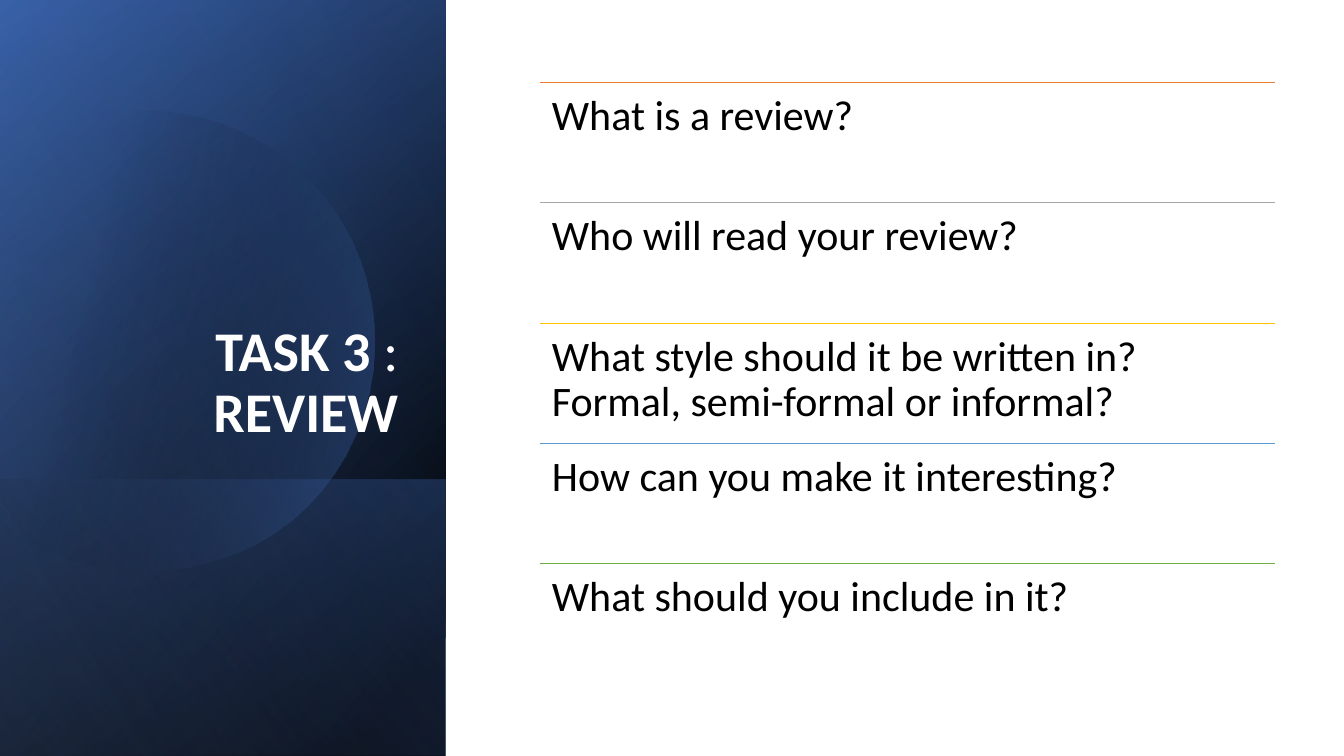
from dataclasses import dataclass

from lxml import etree
from pptx import Presentation
from pptx import util as u
from pptx.dml.color import RGBColor
from pptx.enum import shapes, text
from pptx.oxml import ns, parse_xml

COLOURS = {
    "black": "000000", "white": "FFFFFF", "navy": "2F5597", "blue": "4472C4",
    "pale_blue": "8FAADC", "orange": "ED7D31", "grey": "A5A5A5",
    "gold": "FFC000", "sky": "5B9BD5", "green": "70AD47",
}
FONT = "Calibri"
SLIDE_WIDTH, SLIDE_HEIGHT = 33.87, 19.05
PANEL_WIDTH = 11.23
ROW_LEFT, ROW_TOP, ROW_WIDTH, ROW_HEIGHT = 13.61, 2.08, 18.53, 3.03
ROW_INSET = 0.3


@dataclass
class Stop:
    position: int
    colour: str
    opacity: int = 100


@dataclass
class Gradient:
    angle: int
    stops: tuple[Stop, Stop]


@dataclass
class Panel:
    top: float
    gradient: Gradient


@dataclass
class Question:
    wording: str
    rule_colour: str


PANELS = [
    Panel(0, Gradient(50, (Stop(8, "black"), Stop(100, "navy")))),
    Panel(0, Gradient(30, (Stop(0, "black", 0), Stop(99, "blue", 46)))),
    Panel(12.09, Gradient(130, (Stop(2, "blue", 29), Stop(100, "black", 30)))),
]
SHEEN = Panel(0, Gradient(120, (Stop(0, "black", 0), Stop(99, "pale_blue", 11))))
DISC_GRADIENT = Gradient(14, (Stop(29, "black", 0), Stop(100, "blue", 43)))

# Disc outline in cm: a start point, then curves of two handles and an end
DISC_START = (3.78, 2.79)
DISC_CURVES = [
    ((6.25, 2.84), (8.51, 4.5), (9.22, 6.99)),
    ((10.11, 10.08), (8.33, 13.41), (5.26, 14.17)),
    ((3.33, 14.73), (1.35, 14.25), (-0.08, 13.06)),
    ((-0.08, 13.06), (-0.38, 12.78), (-0.38, 12.78)),
    ((-0.38, 12.78), (-0.38, 4.45), (-0.38, 4.45)),
    ((-0.38, 4.45), (0, 4.09), (0, 4.09)),
    ((0.58, 3.61), (1.27, 3.25), (2.03, 3.02)),
    ((2.62, 2.87), (3.2, 2.79), DISC_START),
]
CURVE_STEPS = 16

TITLE_RUNS = [("TASK 3 ", True), (": ", False), ("REVIEW", True)]
QUESTIONS = [
    Question("What is a review?", "orange"),
    Question("Who will read your review?", "grey"),
    Question("What style should it be written in? Formal, semi-formal or informal?", "gold"),
    Question("How can you make it interesting?", "sky"),
    Question("What should you include in it?", "green"),
]


def rgb(name: str) -> RGBColor:
    return RGBColor.from_string(COLOURS[name])


def style_run(run, size: int, colour: str, bold: bool = False) -> None:
    run.font.name = FONT
    run.font.size = u.Pt(size)
    run.font.bold = bold
    run.font.color.rgb = rgb(colour)


def fill_gradient(shape, gradient: Gradient) -> None:
    """Give a borderless shape a linear gradient with see-through stops."""
    shape.shadow.inherit = False
    shape.line.fill.background()
    shape.fill.background()
    stops = "".join(
        f'<a:gs pos="{stop.position * 1000}"><a:srgbClr val="{COLOURS[stop.colour]}">'
        f'<a:alpha val="{stop.opacity * 1000}"/></a:srgbClr></a:gs>'
        for stop in gradient.stops
    )
    fill = parse_xml(
        f'<a:gradFill {ns.nsdecls("a")} rotWithShape="1"><a:gsLst>{stops}</a:gsLst>'
        f'<a:lin ang="{gradient.angle * 60000}" scaled="0"/></a:gradFill>'
    )
    properties = shape._element.spPr
    properties.replace(properties.find(ns.qn("a:noFill")), fill)


def add_panel(slide, panel: Panel) -> None:
    """Draw a mirrored rectangle, turned a quarter, down to the slide's foot."""
    length = SLIDE_HEIGHT - panel.top
    shift = (length - PANEL_WIDTH) / 2
    shape = slide.shapes.add_shape(
        shapes.MSO_SHAPE.RECTANGLE, u.Cm(-shift), u.Cm(panel.top + shift),
        u.Cm(length), u.Cm(PANEL_WIDTH))
    shape.rotation = 90
    shape._element.spPr.find(ns.qn("a:xfrm")).set("flipH", "1")
    fill_gradient(shape, panel.gradient)


def add_disc(slide) -> None:
    points = []
    start = DISC_START
    for first, second, end in DISC_CURVES:
        for step in range(1, CURVE_STEPS + 1):
            t = step / CURVE_STEPS
            points.append(tuple(
                u.Cm((1 - t) ** 3 * a + 3 * (1 - t) ** 2 * t * b
                     + 3 * (1 - t) * t ** 2 * c + t ** 3 * d)
                for a, b, c, d in zip(start, first, second, end)))
        start = end
    builder = slide.shapes.build_freeform(*(u.Cm(value) for value in DISC_START))
    builder.add_line_segments(points, close=True)
    fill_gradient(builder.convert_to_shape(), DISC_GRADIENT)


def set_title(slide) -> None:
    title = slide.shapes.title
    title.left, title.top = u.Cm(1.63), u.Cm(4.67)
    title.width, title.height = u.Cm(8.66), u.Cm(6.65)
    frame = title.text_frame
    frame.word_wrap = True
    frame.auto_size = text.MSO_AUTO_SIZE.NONE
    frame.vertical_anchor = text.MSO_ANCHOR.BOTTOM
    paragraph = frame.paragraphs[0]
    paragraph.alignment = text.PP_ALIGN.RIGHT
    paragraph.line_spacing = 0.9
    for wording, bold in TITLE_RUNS:
        run = paragraph.add_run()
        run.text = wording
        style_run(run, 40, "white", bold)
    # Bring the title in front of the panels
    slide.shapes._spTree.append(title._element)


def add_question(slide, question: Question, top: float) -> None:
    rule = slide.shapes.add_connector(
        shapes.MSO_CONNECTOR.STRAIGHT, u.Cm(ROW_LEFT), u.Cm(top),
        u.Cm(ROW_LEFT + ROW_WIDTH), u.Cm(top))
    rule.line.color.rgb = rgb(question.rule_colour)
    rule.line.width = u.Pt(0.5)
    etree.SubElement(rule._element.spPr, ns.qn("a:effectLst"))

    box = slide.shapes.add_textbox(
        u.Cm(ROW_LEFT), u.Cm(top), u.Cm(ROW_WIDTH), u.Cm(ROW_HEIGHT))
    frame = box.text_frame
    frame.word_wrap = True
    frame.margin_left = frame.margin_right = u.Cm(ROW_INSET)
    frame.margin_top = frame.margin_bottom = u.Cm(ROW_INSET)
    frame.text = question.wording
    paragraph = frame.paragraphs[0]
    paragraph.line_spacing = 0.9
    style_run(paragraph.runs[0], 30, "black")


def main() -> None:
    presentation = Presentation()
    presentation.slide_width = u.Cm(SLIDE_WIDTH)
    presentation.slide_height = u.Cm(SLIDE_HEIGHT)
    slide = presentation.slides.add_slide(presentation.slide_layouts.get_by_name("Title Only"))
    slide.background.fill.solid()
    slide.background.fill.fore_color.rgb = rgb("white")

    # Side panel
    for panel in PANELS:
        add_panel(slide, panel)
    add_disc(slide)
    add_panel(slide, SHEEN)
    set_title(slide)

    # Question list
    for index, question in enumerate(QUESTIONS):
        add_question(slide, question, ROW_TOP + index * ROW_HEIGHT)

    presentation.save("out.pptx")


if __name__ == "__main__":
    main()
